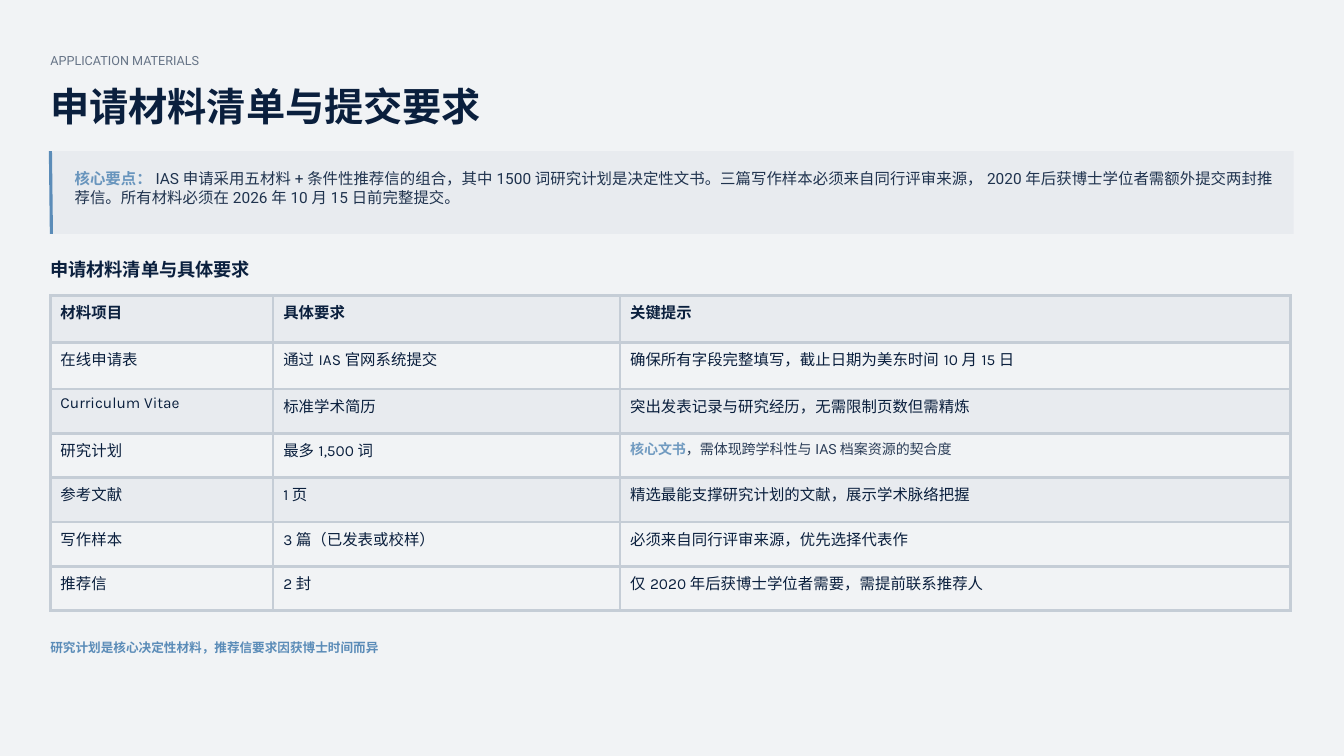
from lxml.etree import SubElement
from pptx import Presentation
from pptx.dml.color import RGBColor
from pptx.enum.shapes import MSO_CONNECTOR as Connector, MSO_SHAPE as Shape
from pptx.oxml import parse_xml
from pptx.oxml.ns import nsdecls, qn
from pptx.util import Inches, Pt

NAVY, BLUE = "0A1F3D", "5B8CB8"
PAGE, PANEL, RULE = "F1F3F5", "E8EBEF", "C5CDD6"
LEFT, WIDTH = 0.5, 12.33

COLUMNS = [2.21, 3.44, 6.65]
ROW_HEIGHTS = [0.47, 0.46] + [0.44] * 5
MATERIALS = [
    ("材料项目", "具体要求", "关键提示"),
    ("在线申请表", "通过IAS官网系统提交", "确保所有字段完整填写，截止日期为美东时间10月15日"),
    ("Curriculum Vitae", "标准学术简历", "突出发表记录与研究经历，无需限制页数但需精炼"),
    ("研究计划", "最多1,500词", ("核心文书", "，需体现跨学科性与IAS档案资源的契合度")),
    ("参考文献", "1页", "精选最能支撑研究计划的文献，展示学术脉络把握"),
    ("写作样本", "3篇（已发表或校样）", "必须来自同行评审来源，优先选择代表作"),
    ("推荐信", "2封", "仅2020年后获博士学位者需要，需提前联系推荐人"),
]


def color(value):
    return RGBColor.from_string(value)


def set_font(font, size, fill=NAVY, bold=False, name="Roboto", opacity=100):
    font.name, font.size, font.bold = name, Pt(size), bold
    font.color.rgb = color(fill)
    if opacity < 100:
        rgb = font._element.find(".//" + qn("a:srgbClr"))
        SubElement(rgb, qn("a:alpha")).set("val", str(opacity * 1000))


def add_highlighted(paragraph, lead, rest, size, opacity):
    """Bold blue lead followed by regular navy text."""
    for text, fill, bold in ((lead, BLUE, True), (rest, NAVY, False)):
        run = paragraph.add_run()
        run.text = text
        set_font(run.font, size, fill, bold, opacity=opacity)


def add_frame(slide, left, top, width, height, wrap=False):
    frame = slide.shapes.add_textbox(
        Inches(left), Inches(top), Inches(width), Inches(height)).text_frame
    frame.margin_left = frame.margin_right = frame.margin_top = frame.margin_bottom = 0
    frame.word_wrap = wrap
    return frame


def add_label(slide, top, height, text, size, fill=NAVY, bold=True, opacity=100):
    paragraph = add_frame(slide, LEFT, top, WIDTH, height).paragraphs[0]
    paragraph.text = text
    set_font(paragraph.font, size, fill, bold, opacity=opacity)


def add_panel(slide, left, top, width, height, fill):
    shape = slide.shapes.add_shape(
        Shape.RECTANGLE, Inches(left), Inches(top), Inches(width), Inches(height))
    shape.shadow.inherit = False
    shape.fill.solid()
    shape.fill.fore_color.rgb = color(fill)
    shape.line.fill.background()


def add_callout(slide, left, top, width, height):
    add_panel(slide, left, top, width, height, PANEL)
    # Accent edge
    edge = slide.shapes.add_connector(
        Connector.STRAIGHT, Inches(left), Inches(top),
        Inches(left + 0.01), Inches(top + height))
    edge.line.color.rgb = color(BLUE)
    edge.line.width = Pt(2.25)
    SubElement(edge._element.spPr, qn("a:effectLst"))
    # Key point
    frame = add_frame(slide, left + 0.24, top + 0.18, 12.59, 0.44, wrap=True)
    add_highlighted(
        frame.paragraphs[0], "核心要点：",
        "IAS申请采用五材料+条件性推荐信的组合，其中1500词研究计划是决定性文书。"
        "三篇写作样本必须来自同行评审来源，2020年后获博士学位者需额外提交两封推", 11, 90)
    second_line = frame.add_paragraph()
    second_line.text = "荐信。所有材料必须在2026年10月15日前完整提交。"
    set_font(second_line.font, 11, opacity=90)


def set_borders(cell, width, fill):
    properties = cell._tc.get_or_add_tcPr()
    for index, side in enumerate(("lnL", "lnR", "lnT", "lnB")):
        properties.insert(index, parse_xml(
            f'<a:{side} {nsdecls("a")} w="{Pt(width)}"><a:solidFill>'
            f'<a:srgbClr val="{fill}"/></a:solidFill></a:{side}>'))


def add_materials_table(slide, left, top, width, height):
    table = slide.shapes.add_table(
        len(MATERIALS), len(COLUMNS),
        Inches(left), Inches(top), Inches(width), Inches(height)).table
    table.first_row = table.horz_banding = False
    for column, column_width in zip(table.columns, COLUMNS):
        column.width = Inches(column_width)
    for row, row_height in zip(table.rows, ROW_HEIGHTS):
        row.height = Inches(row_height)
    for row_index, texts in enumerate(MATERIALS):
        for column_index, text in enumerate(texts):
            cell = table.cell(row_index, column_index)
            # Shade the header and every second row, except the last
            if row_index % 2 == 0 and row_index < len(MATERIALS) - 1:
                cell.fill.solid()
                cell.fill.fore_color.rgb = color(PANEL)
            else:
                cell.fill.background()
            set_borders(cell, 2, RULE)
            paragraph = cell.text_frame.paragraphs[0]
            if isinstance(text, tuple):
                add_highlighted(paragraph, *text, 10, 85)
            else:
                paragraph.text = text
                set_font(paragraph.font, 11, bold=row_index == 0, name="Karla")


def add_materials_slide(presentation):
    slide = presentation.slides.add_slide(presentation.slide_layouts[6])
    add_panel(slide, 0, 0, 13.33, 7.5, PAGE)
    # Heading
    add_label(slide, 0.52, 0.15, "APPLICATION MATERIALS", 9, bold=False, opacity=60)
    add_label(slide, 0.82, 0.44, "申请材料清单与提交要求", 28)
    add_callout(slide, LEFT, 1.5, WIDTH, 0.82)
    # Requirements
    add_label(slide, 2.56, 0.21, "申请材料清单与具体要求", 13)
    add_materials_table(slide, LEFT, 2.93, sum(COLUMNS), sum(ROW_HEIGHTS))
    # Footnote
    add_label(slide, 6.35, 0.16, "研究计划是核心决定性材料，推荐信要求因获博士时间而异", 9, BLUE)


def main():
    presentation = Presentation()
    presentation.slide_width, presentation.slide_height = Inches(13.33), Inches(7.5)
    add_materials_slide(presentation)
    presentation.save("out.pptx")


if __name__ == "__main__":
    main()
